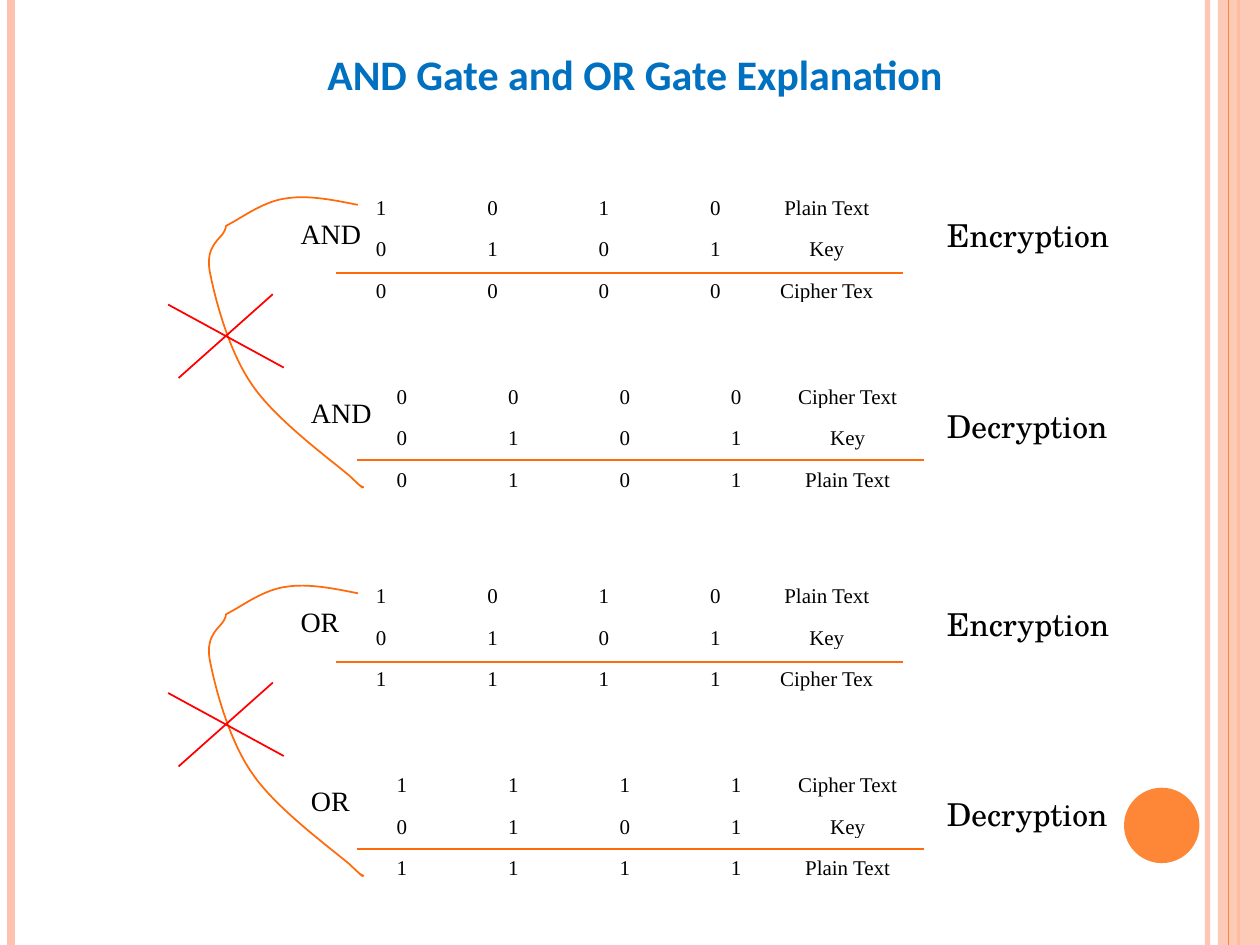
from itertools import product
from math import cos, radians, sin

from lxml.etree import SubElement
from pptx import Presentation
from pptx.dml.color import RGBColor
from pptx.enum.shapes import MSO_CONNECTOR, MSO_SHAPE
from pptx.enum.text import MSO_ANCHOR, MSO_AUTO_SIZE, PP_ALIGN
from pptx.oxml.ns import qn
from pptx.util import Cm, Pt

COLORS = {
    "band": "FEC3AE",
    "accent": "FE8637",
    "rule": "FF6B0A",
    "cross": "FF0000",
    "title": "0070C0",
    "text": "000000",
}
SERIF = "Times New Roman"
SCHOOL = "TeX Gyre Schola"


def draw_line(start, end, color, width, opacity=100):
    connector = slide.shapes.add_connector(
        MSO_CONNECTOR.STRAIGHT, *(Cm(value) for value in (*start, *end))
    )
    connector.line.color.rgb = RGBColor.from_string(COLORS[color])
    connector.line.width = Pt(width)
    properties = connector._element.spPr
    SubElement(properties, qn("a:effectLst"))
    if opacity < 100:
        tint = properties.find(".//" + qn("a:srgbClr"))
        SubElement(tint, qn("a:alpha"), val=str(opacity * 1000))


def write_text(words, left, top, width, height, font, size, color="text", bold=False):
    box = slide.shapes.add_textbox(Cm(left), Cm(top), Cm(width), Cm(height))
    frame = box.text_frame
    frame.word_wrap = True
    frame.auto_size = MSO_AUTO_SIZE.SHAPE_TO_FIT_TEXT
    paragraph = frame.paragraphs[0]
    paragraph.text = words
    paragraph.font.name = font
    paragraph.font.size = Pt(size)
    paragraph.font.bold = bold
    paragraph.font.color.rgb = RGBColor.from_string(COLORS[color])


presentation = Presentation()
presentation.slide_width = Cm(25.4)
presentation.slide_height = Cm(19.05)
slide = presentation.slides.add_slide(presentation.slide_layouts[6])

draw_line((24.34, 0), (24.34, 19.05), "band", 3, 93)
draw_line((0.22, 0), (0.22, 19.05), "band", 4.5)
draw_line((24.97, 0), (24.97, 19.05), "accent", 1.5)
side_band = slide.shapes.add_shape(MSO_SHAPE.RECTANGLE, Cm(24.55), 0, Cm(0.85), Cm(19.05))
draw_line((24.77, 0), (24.77, 19.05), "accent", 0.75)
page_dot = slide.shapes.add_shape(MSO_SHAPE.OVAL, Cm(22.66), Cm(15.88), Cm(1.52), Cm(1.52))
for ornament, color in ((side_band, "band"), (page_dot, "accent")):
    ornament.shadow.inherit = False
    ornament.fill.solid()
    ornament.fill.fore_color.rgb = RGBColor.from_string(COLORS[color])
    ornament.line.fill.background()
band_tint = side_band._element.spPr.find(".//" + qn("a:srgbClr"))
SubElement(band_tint, qn("a:alpha"), val="87000")

write_text("AND Gate and OR Gate Explanation", 6.35, 0.85, 13.77, 1.27,
           "Calibri", 24, "title", True)

gates = [
    ("AND", 0, ("1010", "0101", "0000"), ("0000", "0101", "0101")),
    ("OR", 7.83, ("1010", "0101", "1111"), ("1111", "0101", "1111")),
]
steps = [
    ("Encryption", 6.56, 3.6, 6.78, 5.51, 5.81, 4.24, 4.24,
     ("Plain Text", "Key", "Cipher Tex")),
    ("Decryption", 6.98, 7.41, 7.2, 9.28, 6.02, 7.84, 8.08,
     ("Cipher Text", "Key", "Plain Text")),
]
loop_tilt = 34.6
loop_center = (6.45, 6.45)
loop_points = [
    (7.21, 4.14),
    (6.71, 4.04), (6.2, 3.94), (5.77, 4.01),
    (5.33, 4.06), (4.88, 4.39), (4.67, 4.5),
    (4.47, 4.62), (4.6, 4.5), (4.52, 4.67),
    (4.45, 4.83), (4.14, 4.95), (4.22, 5.46),
    (4.32, 5.99), (4.6, 7.09), (5.08, 7.77),
    (5.54, 8.46), (6.65, 9.27), (7.04, 9.6),
    (7.42, 9.96), (7.26, 9.8), (7.32, 9.83),
    (7.34, 9.86), (7.32, 9.83), (7.26, 9.8),
]
cosine, sine = cos(radians(loop_tilt)), sin(radians(loop_tilt))

for gate, drop, *bit_blocks in gates:
    for step, bits in zip(steps, bit_blocks):
        name, left, top, rule_left, rule_top, gate_left, gate_top, name_top, labels = step
        table = slide.shapes.add_table(
            3, 5, Cm(left), Cm(top + drop), Cm(11.23), Cm(2.51)
        ).table
        table.first_row = False
        table.horz_banding = False
        for column in table.columns:
            column.width = Cm(11.23) // 5
        for row in table.rows:
            row.height = Cm(2.51) // 3
        for row, column in product(range(3), range(5)):
            cell = table.cell(row, column)
            cell.fill.background()
            cell.vertical_anchor = MSO_ANCHOR.BOTTOM
            cell.margin_left = cell.margin_right = cell.margin_top = Cm(0.03)
            cell.margin_bottom = 0
            entry = cell.text_frame.paragraphs[0]
            entry.text = (*bits[row], labels[row])[column]
            entry.alignment = PP_ALIGN.CENTER
            entry.font.name = SERIF
            entry.font.size = Pt(12)
            entry.font.color.rgb = RGBColor.from_string(COLORS["text"])
        draw_line((rule_left, rule_top + drop), (rule_left + 11.43, rule_top + drop), "rule", 1)
        write_text(gate, gate_left, gate_top + drop, 1.8, 0.94, SERIF, 16)
        write_text(name, 18.84, name_top + drop, 4.87, 1.02, SCHOOL, 18)

    level_points = []
    for x, y in loop_points:
        across, down = x - loop_center[0], y - loop_center[1]
        level_points.append((
            Cm(loop_center[0] + across * cosine + down * sine),
            Cm(loop_center[1] + drop - across * sine + down * cosine),
        ))
    builder = slide.shapes.build_freeform(*level_points[0])
    builder.add_line_segments(level_points[1:], close=False)
    loop = builder.convert_to_shape()
    outline = loop._element.spPr.find(".//" + qn("a:path"))
    segments = outline.findall(qn("a:lnTo"))
    for index in range(0, len(segments), 3):
        curve = SubElement(outline, qn("a:cubicBezTo"))
        for segment in segments[index:index + 3]:
            curve.append(segment[0])
            outline.remove(segment)
    loop.rotation = loop_tilt
    loop.shadow.inherit = False
    loop.fill.background()
    loop.line.color.rgb = RGBColor.from_string(COLORS["rule"])
    loop.line.width = Pt(1)

    draw_line((5.5, 5.93 + drop), (3.6, 7.62 + drop), "cross", 1)
    draw_line((3.39, 6.14 + drop), (5.72, 7.41 + drop), "cross", 1)

presentation.save("out.pptx")
